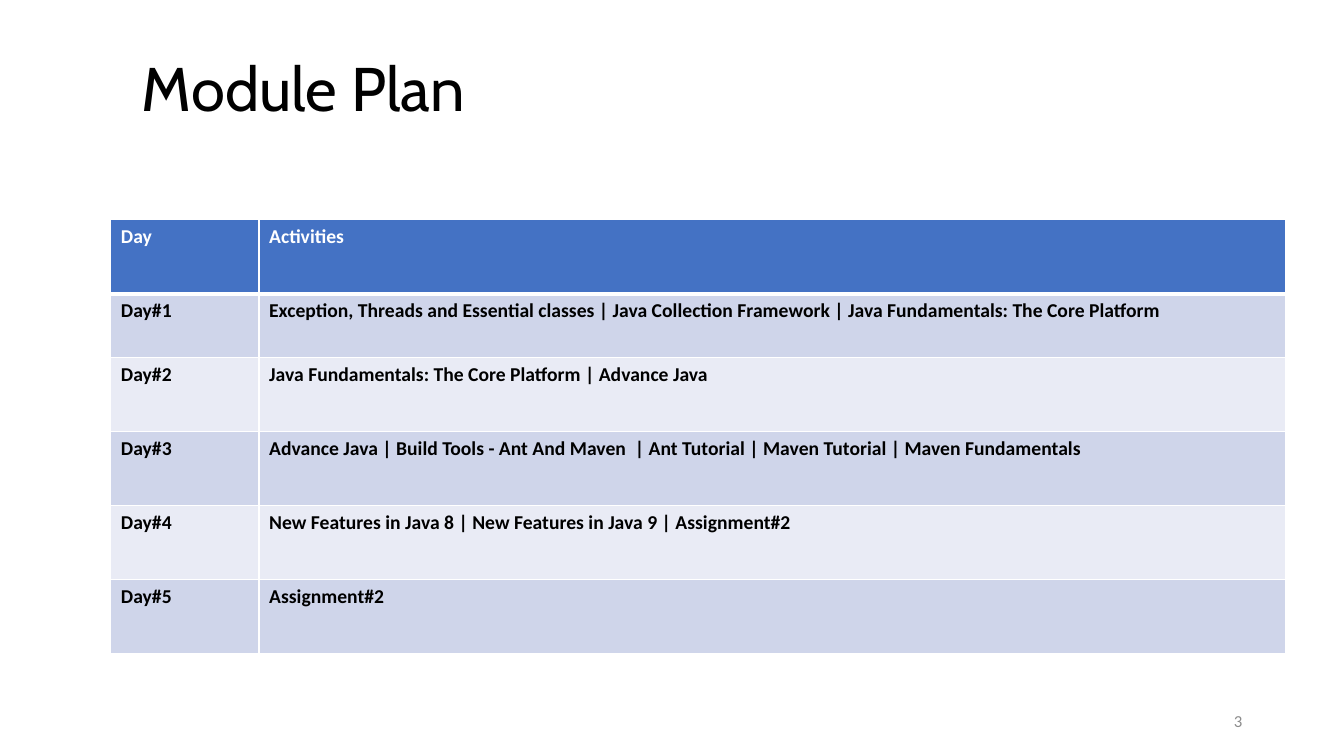
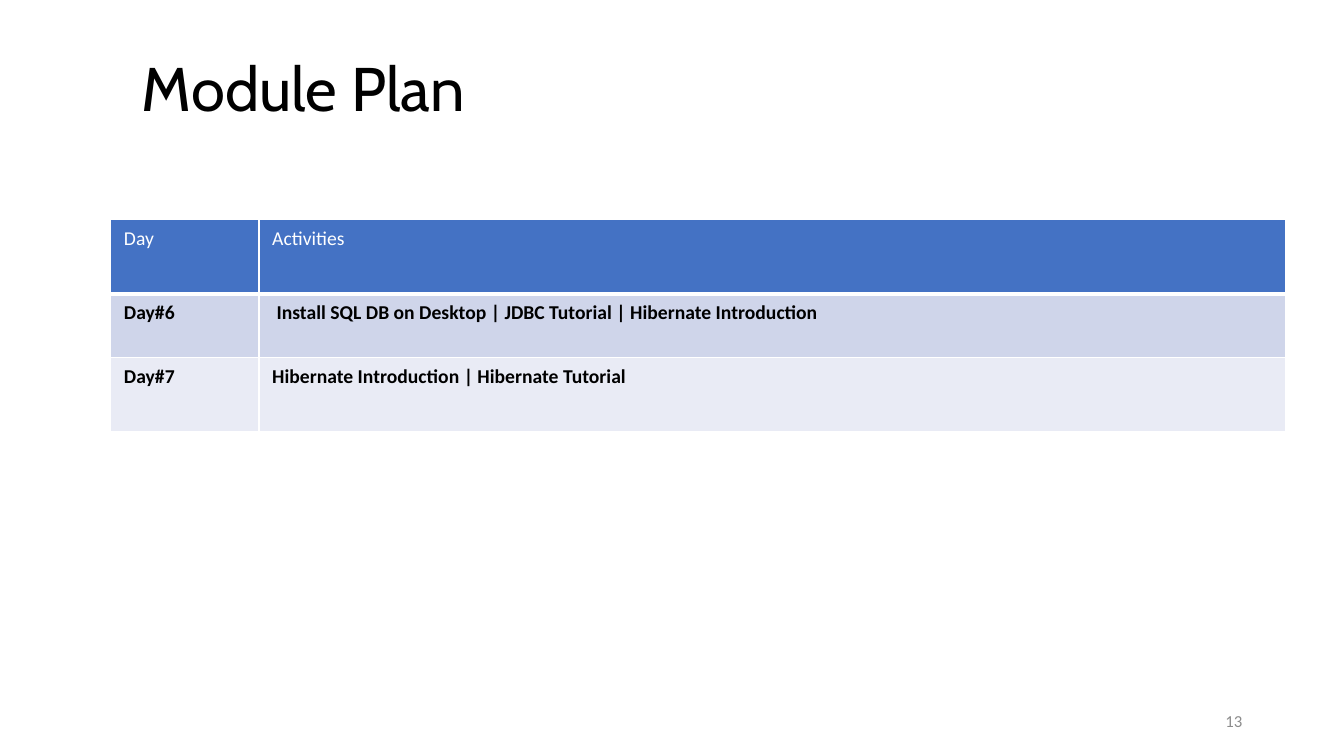
from pptx import Presentation
from pptx import util as u
from pptx.dml.color import RGBColor
from pptx.enum import text
from pptx.oxml import parse_xml
from pptx.oxml.ns import nsdecls

BLACK, WHITE, GRAY = "000000", "FFFFFF", "8C8C8C"
BLUE, BANDS = "4472C4", ("CFD5EA", "E9EBF5")
HEAD, BODY = "Cabin", "Calibri"


def color(code):
    return RGBColor.from_string(code)


class Deck:
    """Holds the style and the current slide; lengths are percent of the slide."""

    def __init__(self):
        self.prs = Presentation()
        self.prs.slide_width = u.Inches(13.33)
        self.prs.slide_height = u.Inches(7.5)

    def x(self, share):
        return round(self.prs.slide_width * share / 100)

    def y(self, share):
        return round(self.prs.slide_height * share / 100)

    def run(self, para, words, size, font, code, bold=False):
        run = para.add_run()
        run.text = words
        run.font.size, run.font.name, run.font.bold = u.Pt(size), font, bold
        run.font.color.rgb = color(code)

    def label(self, left, top, wide, high, words, size, font, code,
              align=text.PP_ALIGN.LEFT, space=1.0):
        box = self.slide.shapes.add_textbox(
            self.x(left), self.y(top), self.x(wide), self.y(high))
        frame = box.text_frame
        frame.word_wrap = True
        frame.vertical_anchor = text.MSO_ANCHOR.MIDDLE
        para = frame.paragraphs[0]
        para.alignment, para.line_spacing = align, space
        self.run(para, words, size, font, code)

    # Slide with its shared title and page number
    def page(self, title, number):
        self.slide = self.prs.slides.add_slide(self.prs.slide_layouts[6])
        fill = self.slide.background.fill
        fill.solid()
        fill.fore_color.rgb = color(WHITE)
        self.label(9.83, 2.27, 75.77, 19.6, title, 44, HEAD, BLACK, space=0.9)
        self.label(70.67, 92.67, 22.5, 5.33, str(number), 12, BODY, GRAY,
                   align=text.PP_ALIGN.RIGHT)

    def edge(self, cell, side, width):
        cell._tc.get_or_add_tcPr().append(parse_xml(
            f'<a:ln{side} {nsdecls("a")} w="{u.Pt(width)}"><a:solidFill>'
            f'<a:srgbClr val="{WHITE}"/></a:solidFill></a:ln{side}>'))

    def cell(self, cell, words, top, band, bold, pads):
        cell.margin_left = cell.margin_right = u.Inches(pads[0])
        cell.margin_top = cell.margin_bottom = u.Inches(pads[1])
        for side in "LRTB":
            self.edge(cell, side, 3 if top and side == "B" else 1)
        cell.fill.solid()
        cell.fill.fore_color.rgb = color(BLUE if top else band)
        self.run(cell.text_frame.paragraphs[0], words, 14, BODY,
                 WHITE if top else BLACK, bold)

    # Banded table: a blue header row, then one row a day
    def plan(self, first, tasks, bold, pads):
        rows = [("Day", "Activities ")]
        rows += [(f"Day#{day}", task) for day, task in enumerate(tasks, first)]
        wide = (11.03, 76.37)
        high = [8.4 if i == 1 else 9.8 for i in range(len(rows))]
        grid = self.slide.shapes.add_table(
            len(rows), 2, self.x(8.25), self.y(29.07),
            self.x(sum(wide)), self.y(sum(high))).table
        grid.horz_banding = False
        for col, share in zip(grid.columns, wide):
            col.width = self.x(share)
        for i, row in enumerate(rows):
            grid.rows[i].height = self.y(high[i])
            for j, words in enumerate(row):
                self.cell(grid.cell(i, j), words, i == 0, BANDS[(i - 1) % 2],
                          bold or i > 0, pads)


deck = Deck()

# First week
deck.page("Module Plan", 3)
deck.plan(1, [
    "Exception, Threads and Essential classes | Java Collection Framework"
    " | Java Fundamentals: The Core Platform",
    "Java Fundamentals: The Core Platform | Advance Java ",
    "Advance Java | Build Tools - Ant And Maven\u00a0 | Ant Tutorial"
    " | Maven Tutorial | Maven Fundamentals",
    "New Features in Java 8 | New Features in Java 9 | Assignment#2",
    "Assignment#2",
], bold=True, pads=(0.1, 0.05))

# Second week
deck.page("Module Plan", 13)
deck.plan(6, [
    " Install SQL DB on Desktop | JDBC Tutorial | Hibernate Introduction",
    "Hibernate Introduction | Hibernate Tutorial ",
], bold=False, pads=(0.13, 0.07))

deck.prs.save("out.pptx")
